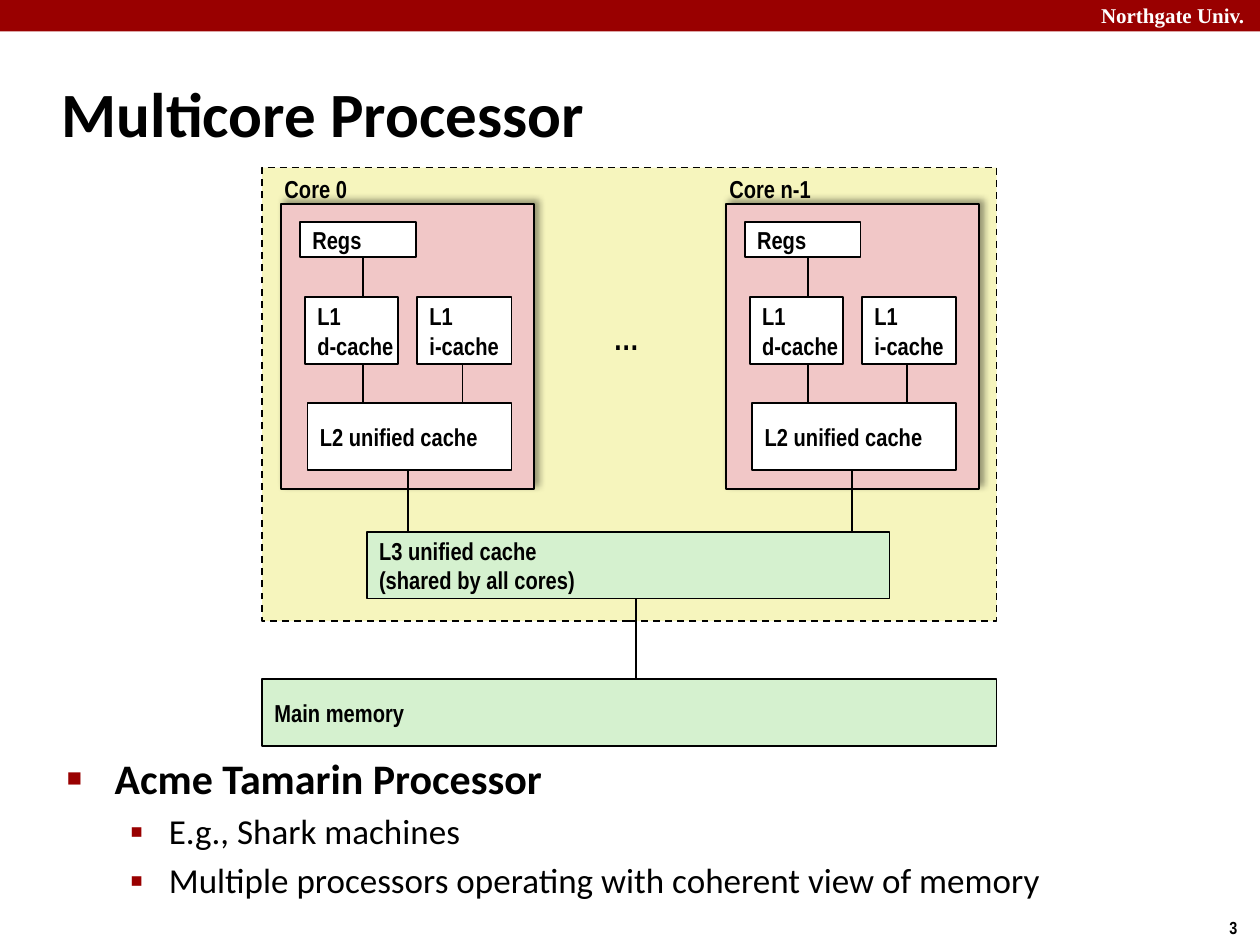
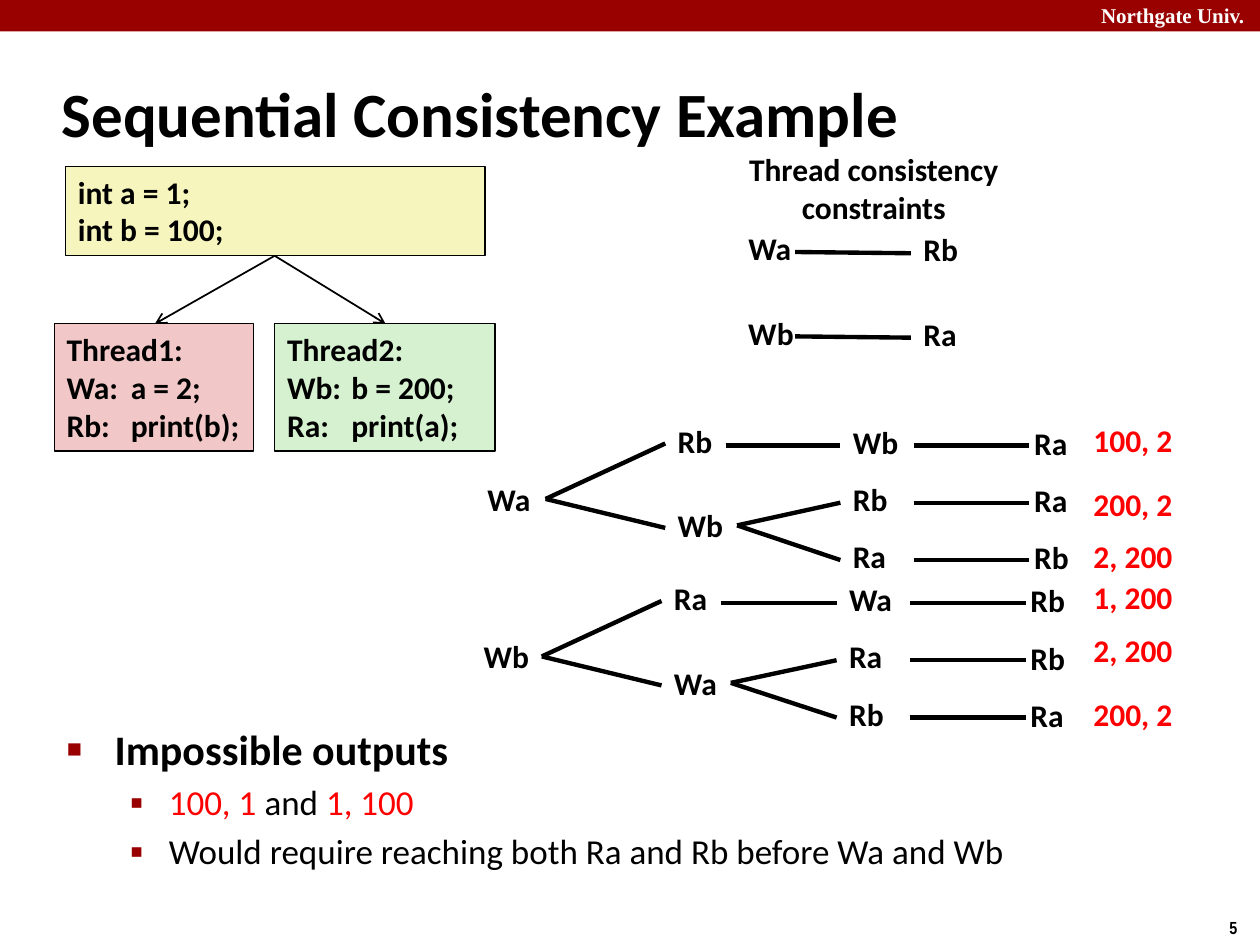
from lxml.etree import SubElement as Sub
from pptx import Presentation
from pptx.dml.color import RGBColor as Rgb
from pptx.enum.dml import MSO_LINE as Dash
from pptx.enum.shapes import MSO_CONNECTOR as Conn, MSO_SHAPE as Kind
from pptx.enum.text import MSO_ANCHOR as Anchor, MSO_AUTO_SIZE as Fit, PP_ALIGN as Align
from pptx.oxml.ns import qn
from pptx.util import Inches, Pt

HUES = {"red": "990000", "black": "000000", "white": "FFFFFF", "hot": "FF0000",
        "cream": "F6F5BD", "pink": "F1C7C7", "green": "D5F1CF"}
SANS, THIN, SERIF = "Calibri", "Arial Narrow", "Times New Roman"
WIDTHS = {"Wa": 0.55, "Wb": 0.57, "Ra": 0.47, "Rb": 0.48}
BULLETS = [("\u25a0", 60, 0.38, 0.38), ("\u25aa", 110, 0.81, 0.31)]


def hue(name):
    """Look up a colour by name."""
    return Rgb.from_string(HUES[name])


def style(para, size, face, color="black", bold=True):
    """Set the font of a whole paragraph."""
    font = para.font
    font.size, font.name, font.bold = Pt(size), face, bold
    font.color.rgb = hue(color)


def indent(para, left, hang):
    """Give a paragraph a left margin and a hanging first line."""
    props = para._p.get_or_add_pPr()
    props.set("marL", str(Inches(left)))
    props.set("indent", str(-Inches(hang)))
    return props


def write(shape, text, size, face, color="black", wrap=False,
          anchor=Anchor.TOP, align=Align.LEFT, tab=None):
    """Fill a shape with one paragraph per line of text."""
    frame = shape.text_frame
    frame.text = text
    frame.word_wrap = wrap
    frame.auto_size = Fit.NONE
    frame.vertical_anchor = anchor
    for para in frame.paragraphs:
        para.alignment = align
        if tab:
            tabs = Sub(para._p.get_or_add_pPr(), qn("a:tabLst"))
            Sub(tabs, qn("a:tab"), pos=str(Inches(tab)), algn="l")
        style(para, size, face, color)


def label(slide, x, y, w, h, text, size=18, face=SANS, **rest):
    """Place a text box."""
    area = slide.shapes.add_textbox(Inches(x), Inches(y), Inches(w), Inches(h))
    write(area, text, size, face, **rest)


def box(slide, x, y, w, h, fill, edge=1):
    """Draw a filled rectangle; an edge of 0 leaves out the outline."""
    rect = slide.shapes.add_shape(
        Kind.RECTANGLE, Inches(x), Inches(y), Inches(w), Inches(h))
    rect.shadow.inherit = False
    rect.fill.solid()
    rect.fill.fore_color.rgb = hue(fill)
    if edge:
        rect.line.color.rgb = hue("black")
        rect.line.width = Pt(edge)
    else:
        rect.line.fill.background()
    return rect


def unit(slide, x, y, w, h, text, fill="white", wrap=False):
    """Draw one storage unit with its name."""
    write(box(slide, x, y, w, h, fill), text, 14, THIN,
          wrap=wrap, anchor=Anchor.MIDDLE)


def link(slide, x1, y1, x2, y2, width=1, arrow=False):
    """Draw a straight line, with an arrowhead at its end if asked."""
    line = slide.shapes.add_connector(
        Conn.STRAIGHT, Inches(x1), Inches(y1), Inches(x2), Inches(y2))
    line.line.color.rgb = hue("black")
    line.line.width = Pt(width)
    if arrow:
        Sub(line.get_or_add_ln(), qn("a:tailEnd"), type="arrow")
    Sub(line._element.spPr, qn("a:effectLst"))


def shade(rect):
    """Cast a soft shadow up and to the right."""
    effects = rect._element.spPr.find(qn("a:effectLst"))
    cast = Sub(effects, qn("a:outerShdw"), blurRad=str(Pt(4)),
               dist=str(Pt(3)), dir=str(315 * 60000), rotWithShape="0")
    ink = Sub(cast, qn("a:srgbClr"), val=HUES["black"])
    Sub(ink, qn("a:alpha"), val="40000")


def start(deck, title, number):
    """Add a slide with the band, page number and title."""
    slide = deck.slides.add_slide(deck.slide_layouts[1])
    box(slide, 0, 0, 10, 0.25, "red", 0)
    label(slide, 8.64, -0.03, 1.43, 0.3, "Northgate Univ.", 12, SERIF,
          color="white", wrap=True)
    label(slide, 9.66, 7.23, 0.34, 0.27, number, 10, THIN)
    head = slide.shapes.title
    head.left, head.top = Inches(0.39), Inches(0.48)
    head.width, head.height = Inches(8.3), Inches(0.83)
    write(head, title, 36, SANS, wrap=True, anchor=Anchor.MIDDLE)
    indent(head.text_frame.paragraphs[0], 0.13, 0.13)
    return slide


def points(slide, y, h, items):
    """Fill the body: a heading, then points made of (text, colour) runs."""
    body = slide.placeholders[1]
    body.left, body.top = Inches(0.43), Inches(y)
    body.width, body.height = Inches(8.64), Inches(h)
    frame = body.text_frame
    frame.auto_size = Fit.NONE
    for i, runs in enumerate(items):
        para = frame.add_paragraph() if i else frame.paragraphs[0]
        para.level = min(i, 1)
        sign, scale, left, hang = BULLETS[para.level]
        props = indent(para, left, hang)
        Sub(Sub(props, qn("a:buClr")), qn("a:srgbClr"), val=HUES["red"])
        Sub(props, qn("a:buSzPct"), val=str(scale * 1000))
        Sub(props, qn("a:buChar"), char=sign)
        style(para, 20 if i else 24, SANS, bold=not i)
        for text, color in runs:
            run = para.add_run()
            run.text = text
            if color != "black":
                run.font.color.rgb = hue(color)


def core(slide, x, y, name, w):
    """Draw one core with its registers and caches."""
    shade(box(slide, x, y, 2.01, 2.26, "pink"))
    unit(slide, x + 0.15, y + 0.14, 0.92, 0.28, "Regs")
    unit(slide, x + 0.19, y + 0.74, 0.74, 0.53, "L1\nd-cache")
    unit(slide, x + 1.08, y + 0.74, 0.75, 0.53, "L1\ni-cache")
    unit(slide, x + 0.21, y + 1.58, 1.62, 0.53, "L2 unified cache", wrap=True)
    for dx, top, end in [(0.65, 0.42, 0.74), (0.65, 1.27, 1.58), (1.44, 1.27, 1.58)]:
        link(slide, x + dx, y + top, x + dx, y + end)
    label(slide, x - 0.07, y - 0.29, w, 0.34, name, 14, THIN)


def chip(slide, x, y):
    """Draw the processor and the main memory below it."""
    box(slide, x, y, 5.83, 3.6, "cream").line.dash_style = Dash.DASH
    for dx, name, w in [(0.15, "Core 0", 0.7), (3.68, "Core n-1", 0.86)]:
        core(slide, x + dx, y + 0.29, name, w)
    label(slide, x + 2.69, y + 1.15, 0.41, 0.4, "\u2026", 18, THIN)
    unit(slide, x + 0.83, y + 2.89, 4.15, 0.53,
         "L3 unified cache\n(shared by all cores)", "green", True)
    unit(slide, x, y + 4.06, 5.83, 0.53, "Main memory", "green", True)
    for dx, top, end in [(1.16, 2.4, 2.89), (4.68, 2.4, 2.89), (2.97, 3.42, 4.06)]:
        link(slide, x + dx, y + top, x + dx, y + end)


def event(slide, x, y, name):
    """Name one read or write."""
    label(slide, x, y, WIDTHS[name], 0.4, name)


def tree(slide, x, y, root, heads, rows):
    """Draw the orders that follow a root; x is the column of its heads."""
    event(slide, x - 1.51, y, root)
    for name, dy in zip(heads, (-0.46, 0.21)):
        event(slide, x, y + dy, name)
        link(slide, x - 0.95, y + 0.2, x, y + dy + 0.22, 2.5)
    for i, (third, last, output, drop) in enumerate(rows):
        top = y + 0.455 * (i - 1)
        mid = top + 0.23
        head = heads[min(i, 1)]
        link(slide, x + WIDTHS[head], y + 0.41 if i else mid, x + 1.39, mid, 2.5)
        event(slide, x + 1.39, top, third)
        link(slide, x + 1.97, mid, x + 2.89, mid, 2.5)
        event(slide, x + 2.83, top + 0.01, last)
        label(slide, 8.58, y + drop, 0.84, 0.4, output, color="hot")


def rules(slide, x, y):
    """Show the order that each thread keeps."""
    label(slide, x, y, 2.19, 0.71, "Thread consistency\nconstraints",
          align=Align.CENTER)
    for dy, first, then in [(0.63, "Wa", "Rb"), (1.3, "Wb", "Ra")]:
        event(slide, x, y + dy, first)
        event(slide, x + 1.39, y + dy + 0.01, then)
        link(slide, x + 0.47, y + dy + 0.23, x + 1.39, y + dy + 0.24, 2.5)


def code(slide, x, y):
    """Show the shared variables and the two threads."""
    top = box(slide, x + 0.09, y, 3.33, 0.71, "cream", 0.75)
    write(top, "int a = 1;\nint b = 100;", 18, SANS, wrap=True)
    threads = [(0, 1.58, "pink", "Thread1:\nWa:\ta = 2;\nRb:\tprint(b);", 0.8),
               (1.75, 1.75, "green", "Thread2:\nWb:\tb = 200;\nRa:\tprint(a);", 2.63)]
    for dx, w, fill, text, tip in threads:
        rect = box(slide, x + dx, y + 1.25, w, 1.01, fill, 0.75)
        write(rect, text, 18, SANS, wrap=True, tab=0.51)
        link(slide, x + 1.75, y + 0.71, x + tip, y + 1.25, arrow=True)


def main():
    """Build both slides."""
    deck = Presentation()
    deck.slide_width, deck.slide_height = Inches(10), Inches(7.5)

    slide = start(deck, "Multicore Processor", "3")
    points(slide, 5.92, 1.01, [
        [("Acme Tamarin Processor", "black")],
        [("E.g., Shark machines", "black")],
        [("Multiple processors operating with coherent view of memory", "black")]])
    chip(slide, 2.08, 1.33)

    slide = start(deck, "Sequential Consistency Example", "5")
    points(slide, 5.69, 0.84, [
        [("Impossible outputs", "black")],
        [("100, 1 ", "hot"), ("and ", "black"), ("1, 100", "hot")],
        [("Would require reaching both Ra and Rb before Wa and Wb", "black")]])
    tree(slide, 5.28, 3.76, "Wa", ("Rb", "Wb"), [
        ("Wb", "Ra", "100, 2", -0.47), ("Rb", "Ra", "200, 2", 0.04),
        ("Ra", "Rb", "2, 200", 0.45)])
    tree(slide, 5.25, 5.01, "Wb", ("Ra", "Wa"), [
        ("Wa", "Rb", "1, 200", -0.47), ("Ra", "Rb", "2, 200", -0.05),
        ("Rb", "Ra", "200, 2", 0.46)])
    rules(slide, 5.84, 1.14)
    code(slide, 0.43, 1.32)
    deck.save("out.pptx")


main()
